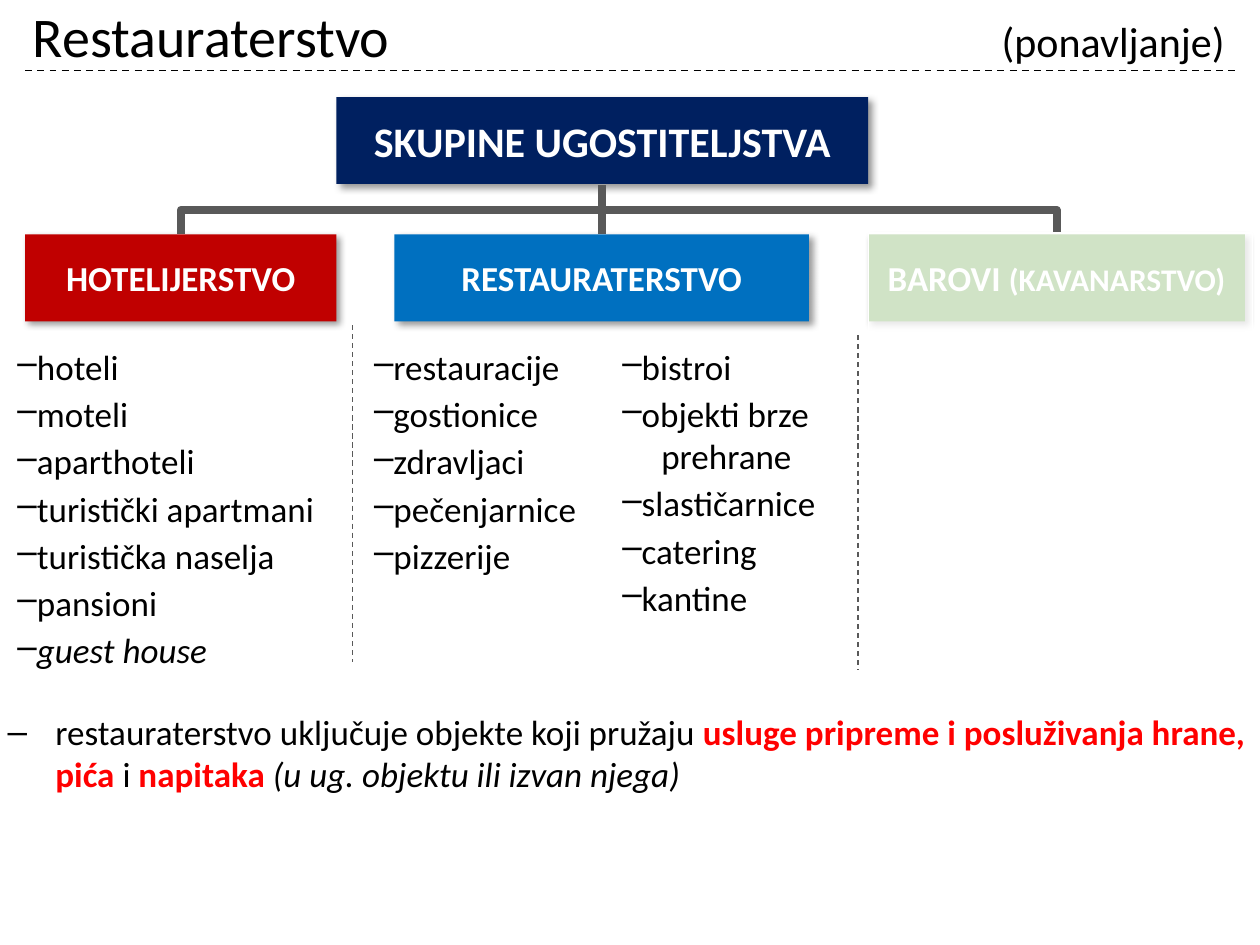
from dataclasses import dataclass

import pptx
import pptx.dml.color
import pptx.enum.dml
import pptx.enum.shapes
import pptx.enum.text
import pptx.oxml
import pptx.oxml.ns
import pptx.util

Inches, Pt = pptx.util.Inches, pptx.util.Pt
CONNECTOR = pptx.enum.shapes.MSO_CONNECTOR
RECT = pptx.enum.shapes.MSO_SHAPE.RECTANGLE
ALIGN, ANCHOR, AUTO_SIZE = (pptx.enum.text.PP_ALIGN, pptx.enum.text.MSO_ANCHOR,
                            pptx.enum.text.MSO_AUTO_SIZE)
NS = pptx.oxml.ns.nsdecls("a")


@dataclass(frozen=True)
class Theme:
    font: str = "Calibri"
    text: str = "000000"
    white: str = "FFFFFF"
    accent: str = "FF0000"
    connector: str = "595959"
    navy: str = "002060"
    red: str = "C00000"
    blue: str = "0070C0"
    green: str = "37870B"
    title: int = 32
    heading: int = 24
    body: int = 20
    small: int = 18


THEME = Theme()


def rgb(value):
    return pptx.dml.color.RGBColor.from_string(value)


def set_font(font, size, color, bold=None):
    font.name, font.size, font.bold = THEME.font, Pt(size), bold
    font.color.rgb = rgb(color)


def add_xml(parent, xml):
    parent.append(pptx.oxml.parse_xml(xml))


def add_tab(p, position, align):
    add_xml(p._p.get_or_add_pPr(),
            f'<a:tabLst {NS}><a:tab pos="{Inches(position)}" algn="{align}"/></a:tabLst>')


def add_bullet(p, margin=0, indent=0):
    pPr = p._p.get_or_add_pPr()
    pPr.set("marL", str(Inches(margin)))
    pPr.set("indent", str(Inches(indent)))
    add_xml(pPr, f'<a:buChar {NS} char="–"/>')


def place(shape, left, top, width, height):
    shape.left, shape.top = Inches(left), Inches(top)
    shape.width, shape.height = Inches(width), Inches(height)


def add_line(s, kind, start, end, color, width, dashed=False):
    line = s.shapes.add_connector(kind, *(Inches(v) for v in (*start, *end)))
    line.line.color.rgb, line.line.width = rgb(color), Pt(width)
    if dashed:
        line.line.dash_style = pptx.enum.dml.MSO_LINE.DASH
    add_xml(line._element.spPr, f"<a:effectLst {NS}/>")
    return line


def add_branch(s, start, end):
    """Elbow that leaves downwards: a sideways elbow turned about its centre."""
    (x1, y1), (x2, y2) = start, end
    cx, cy = (x1 + x2) / 2, (y1 + y2) / 2
    to_right = x2 > x1
    half_w, half_h = (y2 - y1) / 2, abs(x2 - x1) / 2
    if to_right:
        half_w = -half_w
    elbow = add_line(s, CONNECTOR.ELBOW, (cx - half_w, cy - half_h),
                     (cx + half_w, cy + half_h), THEME.connector, 4.5)
    elbow._element.spPr.xfrm.set("rot", str((270 if to_right else 90) * 60000))


def add_box(s, left, top, width, color, runs):
    """Shadowed heading box; runs are (text, size) pairs."""
    box = s.shapes.add_shape(RECT, Inches(left), Inches(top), Inches(width), Inches(0.69))
    box.fill.solid()
    box.fill.fore_color.rgb = rgb(color)
    box.line.fill.background()
    add_xml(box._element.spPr, f'''<a:effectLst {NS}>
        <a:outerShdw blurRad="{Pt(4)}" dist="{Pt(3)}" dir="2700000" algn="tl" rotWithShape="0">
        <a:srgbClr val="000000"><a:alpha val="40000"/></a:srgbClr></a:outerShdw></a:effectLst>''')
    box.text_frame.vertical_anchor = ANCHOR.MIDDLE
    p = box.text_frame.paragraphs[0]
    p.alignment = ALIGN.CENTER
    for text, size in runs:
        r = p.add_run()
        r.text = text
        set_font(r.font, size, THEME.white, True)


def add_list(s, left, width, height, items):
    tf = s.shapes.add_textbox(Inches(left), Inches(2.69), Inches(width), Inches(height)).text_frame
    tf.word_wrap, tf.auto_size = True, AUTO_SIZE.SHAPE_TO_FIT_TEXT
    for i, item in enumerate(items):
        p = tf.add_paragraph() if i else tf.paragraphs[0]
        p.text = item
        if i:
            p.space_before = Pt(3)
        add_bullet(p)
        if "\t" in item:
            add_tab(p, 0.31, "l")
        set_font(p.font, THEME.body, THEME.text)
        p.font.italic = item == "guest house"


def fill_title(title):
    place(title, 0.16, -0.07, 9.84, 0.7)
    tf = title.text_frame
    tf.auto_size, tf.vertical_anchor = AUTO_SIZE.NONE, ANCHOR.MIDDLE
    p = tf.paragraphs[0]
    p.alignment = ALIGN.LEFT
    add_tab(p, 9.46, "r")
    for text, size in (("Restauraterstvo\t", THEME.title), ("(ponavljanje)", THEME.heading)):
        r = p.add_run()
        r.text = text
        set_font(r.font, size, THEME.text)


def fill_summary(body):
    place(body, -0.04, 5.59, 10.04, 1.39)
    body.text_frame.auto_size = AUTO_SIZE.NONE
    p = body.text_frame.paragraphs[0]
    p.space_before = Pt(0)
    add_bullet(p, 0.38, -0.38)
    for text, strong, italic in (
            ("restauraterstvo uključuje objekte koji pružaju ", False, False),
            ("usluge pripreme i posluživanja hrane, pića ", True, False),
            ("i", False, False),
            (" napitaka ", True, False),
            ("(u ug. objektu ili izvan njega)", False, True)):
        r = p.add_run()
        r.text = text
        set_font(r.font, THEME.body, THEME.accent if strong else THEME.text, strong)
        r.font.italic = italic


def add_veil(s, left, top, width, height):
    """Translucent white sheet that fades the group still to be covered."""
    veil = s.shapes.add_shape(RECT, *(Inches(v) for v in (left, top, width, height)))
    veil.shadow.inherit = False
    veil.fill.solid()
    veil.fill.fore_color.rgb = rgb(THEME.white)
    color = veil._element.spPr.find(".//" + pptx.oxml.ns.qn("a:srgbClr"))
    add_xml(color, f'<a:alpha {NS} val="77000"/>')
    veil.line.color.rgb, veil.line.width = rgb(THEME.white), Pt(0.75)


def main():
    prs = pptx.Presentation()
    prs.slide_width, prs.slide_height = Inches(10), Inches(7.5)
    s = prs.slides.add_slide(prs.slide_layouts[1])
    fill_title(s.shapes.title)
    fill_summary(s.placeholders[1])
    add_line(s, CONNECTOR.STRAIGHT, (0.2, 0.56), (9.8, 0.56), THEME.text, 1, dashed=True)

    add_box(s, 2.67, 0.77, 4.22, THEME.navy, [("SKUPINE UGOSTITELJSTVA", THEME.heading)])
    groups = (
        (0.2, 2.47, THEME.red, [("HOTELIJERSTVO", THEME.body)]),
        (3.13, 3.29, THEME.blue, [("RESTAURATERSTVO", THEME.body)]),
        (6.89, 2.99, THEME.green, [("BAROVI ", THEME.body), ("(KAVANARSTVO)", THEME.small)]),
    )
    for left, width, color, runs in groups:
        add_box(s, left, 1.86, width, color, runs)
    for left, width, _, _ in groups:
        add_branch(s, (4.78, 1.47), (left + width / 2, 1.86))

    add_list(s, 0.04, 2.88, 2.71, ("hoteli", "moteli", "aparthoteli", "turistički apartmani",
                                   "turistička naselja", "pansioni", "guest house"))
    add_list(s, 2.87, 1.99, 1.95, ("restauracije", "gostionice", "zdravljaci",
                                   "pečenjarnice", "pizzerije"))
    add_list(s, 4.84, 2.02, 2.29, ("bistroi", "objekti brze\v\tprehrane", "slastičarnice",
                                   "catering", "kantine"))
    for x, top, bottom in ((2.8, 2.58, 5.25), (6.81, 2.66, 5.32)):
        add_line(s, CONNECTOR.STRAIGHT, (x, top), (x, bottom), THEME.connector, 0.75, dashed=True)
    add_veil(s, 6.89, 1.85, 3.05, 2.64)
    prs.save("out.pptx")


if __name__ == "__main__":
    main()
